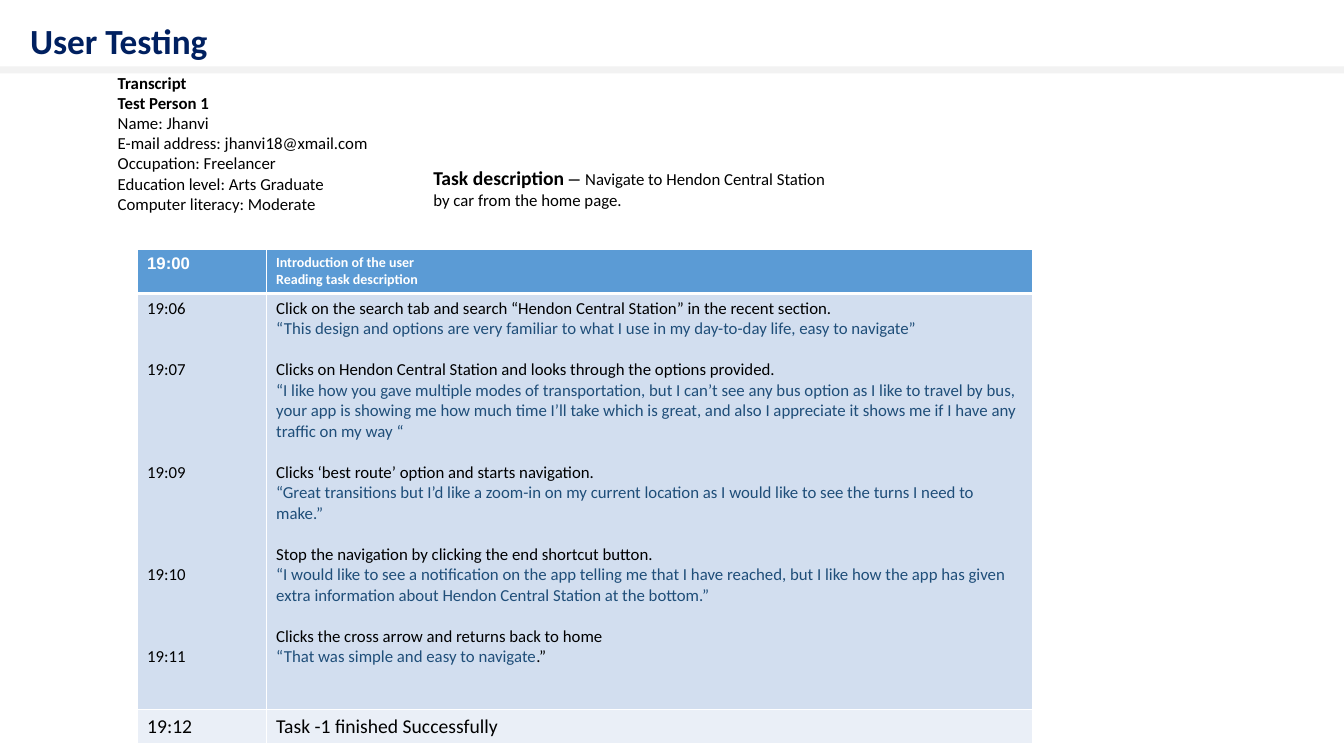
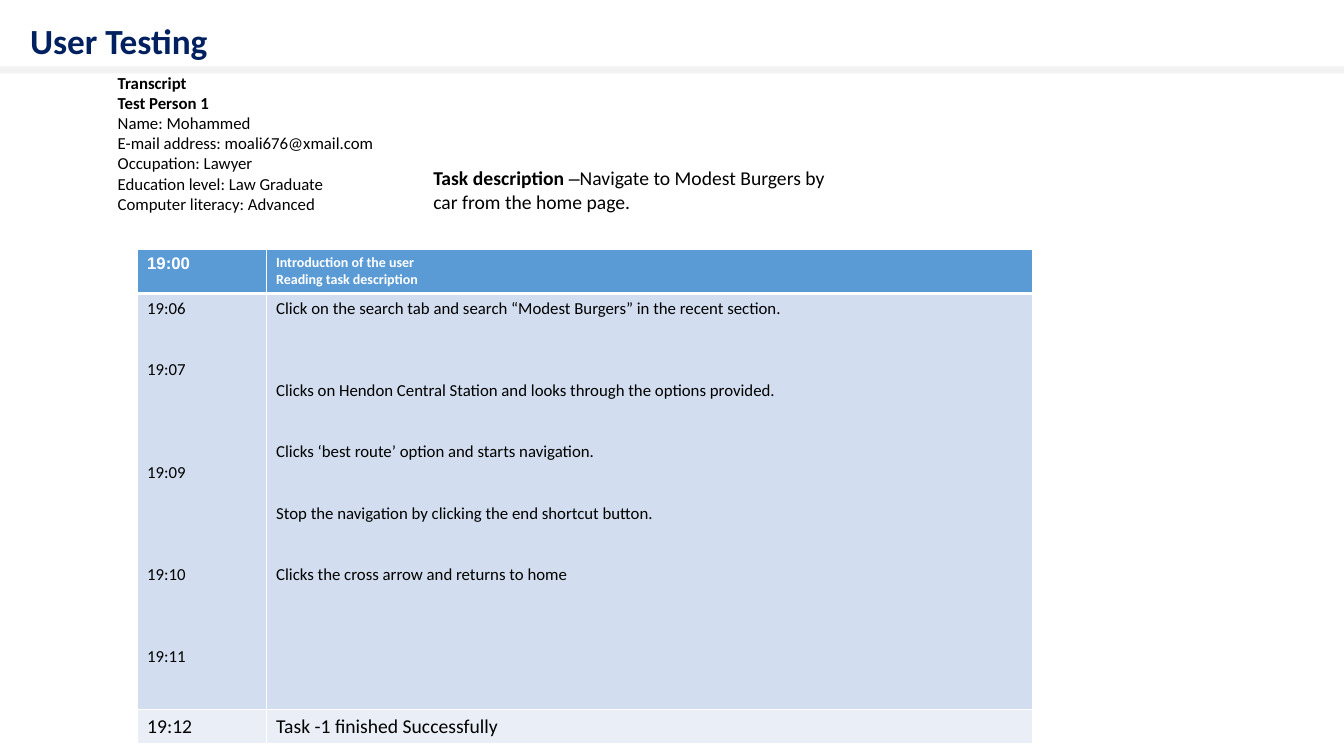
"""Build two user-testing transcript slides."""

from dataclasses import dataclass

import pptx
import pptx.dml.color
import pptx.enum.shapes
import pptx.enum.text
import pptx.oxml
import pptx.oxml.ns
import pptx.slide
import pptx.table
import pptx.text.text
import pptx.util

Pt = pptx.util.Pt


@dataclass(frozen=True)
class Theme:
    navy: str = "002060"
    band: str = "F2F2F2"
    black: str = "000000"
    white: str = "FFFFFF"
    quote: str = "1F4E79"
    header: str = "5B9BD5"
    body: str = "D2DEEF"
    result: str = "EAEFF7"
    font: str = "Calibri"
    symbol_font: str = "Arial"
    title_size: float = 25.2
    large: float = 14
    normal: float = 12
    small: float = 10
    line: float = 14.65
    tight_line: float = 14.4


THEME = Theme()


@dataclass(frozen=True)
class Run:
    text: str
    size: float = THEME.normal
    color: str = THEME.black
    bold: bool = False
    font: str = THEME.font


@dataclass(frozen=True)
class Line:
    runs: tuple[Run, ...]
    blank_lines: int = 0
    spacing: float | pptx.util.Length | None = None


@dataclass(frozen=True)
class Box:
    left: float
    top: float
    width: float
    height: float

    def lengths(self) -> tuple[pptx.util.Length, ...]:
        return Pt(self.left), Pt(self.top), Pt(self.width), Pt(self.height)


@dataclass(frozen=True)
class Session:
    person: tuple[str, ...]
    task: tuple[Run, ...]
    log: tuple[Line, ...]


SLIDE_WIDTH, SLIDE_HEIGHT = 960, 540
TITLE = Box(14.4, 14.4, 828, 33.1)
BAND = Box(0, 47.5, SLIDE_WIDTH, 5)
PERSON = Box(77, 48.3, 300, 108)
TASK = Box(302.4, 115.2, 303.8, 39)
TABLE = Box(97.9, 178, 640, 353)
COLUMN_WIDTHS = (92.2, 547.8)
ROW_HEIGHTS = (31.6, 297.4, 24.3)
ROW_FILLS = (THEME.header, THEME.body, THEME.result)
HEADER_RULE, RULE = 3, 1
PERSON_LABELS = ("Name", "E-mail address", "Occupation", "Education level", "Computer literacy")


def rgb(color: str) -> pptx.dml.color.RGBColor:
    return pptx.dml.color.RGBColor.from_string(color)


def line(text: str, blank_lines: int = 0, **style) -> Line:
    return Line((Run(text, **style),), blank_lines)


def quote(text: str) -> Line:
    return line(text, color=THEME.quote)


TIMES = tuple(
    line(time, gap)
    for time, gap in (("19:06", 0), ("19:07", 2), ("19:09", 4), ("19:10", 4), ("19:11", 3))
)
TASK_LABEL = Run("Task description ", THEME.large, bold=True)

SESSIONS = (
    Session(
        ("Jhanvi", "jhanvi18@xmail.com", "Freelancer", "Arts Graduate", "Moderate"),
        (
            TASK_LABEL,
            Run("– ", THEME.large, font=THEME.symbol_font),
            Run("Navigate to Hendon Central Station by car from the home page."),
        ),
        (
            line("Click on the search tab and search “Hendon Central Station” in the recent section."),
            quote("“This design and options are very familiar to what I use in my day-to-day life, "
                  "easy to navigate”"),
            line("Clicks on Hendon Central Station and looks through the options provided.", 1),
            quote("“I like how you gave multiple modes of transportation, but I can’t see any bus "
                  "option as I like to travel by bus, your app is showing me how much time I’ll take "
                  "which is great, and also I appreciate it shows me if I have any traffic on my way “"),
            line("Clicks ‘best route’ option and starts navigation.", 1),
            quote("“Great transitions but I’d like a zoom-in on my current location as I would like "
                  "to see the turns I need to make.”"),
            line("Stop the navigation by clicking the end shortcut button.", 1),
            quote("“I would like to see a notification on the app telling me that I have reached, "
                  "but I like how the app has given extra information about Hendon Central Station "
                  "at the bottom.”"),
            line("Clicks the cross arrow and returns back to home", 1),
            Line((Run("“That was simple and easy to navigate", color=THEME.quote), Run(".”"))),
        ),
    ),
    Session(
        ("Mohammed", "moali676@xmail.com", "Lawyer", "Law Graduate", "Advanced"),
        (
            TASK_LABEL,
            Run("–", THEME.large, font=THEME.symbol_font),
            Run("Navigate to Modest Burgers by car from the home page.", THEME.large),
        ),
        (
            line("Click on the search tab and search “Modest Burgers” in the recent section."),
            line("Clicks on Hendon Central Station and looks through the options provided.", 3),
            line("Clicks ‘best route’ option and starts navigation.", 2),
            line("Stop the navigation by clicking the end shortcut button.", 2),
            line("Clicks the cross arrow and returns to home", 2),
        ),
    ),
)


def write_lines(frame: pptx.text.text.TextFrame, lines: tuple[Line, ...]) -> None:
    frame.word_wrap = True
    for index, item in enumerate(lines):
        paragraph = frame.add_paragraph() if index else frame.paragraphs[0]
        if item.blank_lines:
            paragraph.space_before = Pt(item.blank_lines * THEME.line)
        if item.spacing is not None:
            paragraph.line_spacing = item.spacing
        for part in item.runs:
            run = paragraph.add_run()
            run.text = part.text
            run.font.name = part.font
            run.font.size = Pt(part.size)
            run.font.bold = part.bold
            run.font.color.rgb = rgb(part.color)


def add_text(slide: pptx.slide.Slide, box: Box, lines: tuple[Line, ...], middle: bool = False) -> None:
    frame = slide.shapes.add_textbox(*box.lengths()).text_frame
    anchor = pptx.enum.text.MSO_ANCHOR
    frame.vertical_anchor = anchor.MIDDLE if middle else anchor.TOP
    write_lines(frame, lines)


def add_heading(slide: pptx.slide.Slide) -> None:
    title = Run("User Testing", THEME.title_size, THEME.navy, True)
    add_text(slide, TITLE, (Line((title,), spacing=0.9),), middle=True)
    shape = slide.shapes.add_shape(pptx.enum.shapes.MSO_SHAPE.RECTANGLE, *BAND.lengths())
    shape.shadow.inherit = False
    shape.fill.solid()
    shape.fill.fore_color.rgb = rgb(THEME.band)
    shape.line.fill.background()


def add_person(slide: pptx.slide.Slide, person: tuple[str, ...]) -> None:
    details = [f"{label}: {value}" for label, value in zip(PERSON_LABELS, person)]
    runs = [Run(text, bold=True) for text in ("Transcript", "Test Person 1")]
    runs += [Run(text) for text in details]
    add_text(slide, PERSON, tuple(Line((run,), spacing=Pt(THEME.tight_line)) for run in runs))


def set_borders(cell: pptx.table._Cell, top: float, bottom: float) -> None:
    properties = cell._tc.get_or_add_tcPr()
    sides = (("L", RULE), ("R", RULE), ("T", top), ("B", bottom))
    for index, (side, width) in enumerate(sides):
        border = pptx.oxml.parse_xml(
            f'<a:ln{side} {pptx.oxml.ns.nsdecls("a")} w="{Pt(width)}"><a:solidFill>'
            f'<a:srgbClr val="{THEME.white}"/></a:solidFill></a:ln{side}>'
        )
        properties.insert(index, border)


def add_log(slide: pptx.slide.Slide, log: tuple[Line, ...]) -> None:
    header = {"size": THEME.small, "color": THEME.white, "bold": True}
    content = (
        (
            (line("19:00", color=THEME.white, bold=True, font=THEME.symbol_font),),
            (line("Introduction of the user", **header), line("Reading task description", **header)),
        ),
        (TIMES, log),
        (
            (line("19:12", size=THEME.large),),
            (line("Task -1 finished Successfully", size=THEME.large),),
        ),
    )
    table = slide.shapes.add_table(len(ROW_HEIGHTS), len(COLUMN_WIDTHS), *TABLE.lengths()).table
    for column, width in zip(table.columns, COLUMN_WIDTHS):
        column.width = Pt(width)
    for index, (row, height, fill) in enumerate(zip(table.rows, ROW_HEIGHTS, ROW_FILLS)):
        row.height = Pt(height)
        for cell, lines in zip(row.cells, content[index]):
            cell.fill.solid()
            cell.fill.fore_color.rgb = rgb(fill)
            set_borders(
                cell,
                HEADER_RULE if index == 1 else RULE,
                HEADER_RULE if index == 0 else RULE,
            )
            write_lines(cell.text_frame, lines)


def main() -> None:
    presentation = pptx.Presentation()
    presentation.slide_width = Pt(SLIDE_WIDTH)
    presentation.slide_height = Pt(SLIDE_HEIGHT)
    for session in SESSIONS:
        slide = presentation.slides.add_slide(presentation.slide_layouts[6])
        add_heading(slide)
        add_person(slide, session.person)
        add_log(slide, session.log)
        add_text(slide, TASK, (Line(session.task),))
    presentation.save("out.pptx")


if __name__ == "__main__":
    main()
